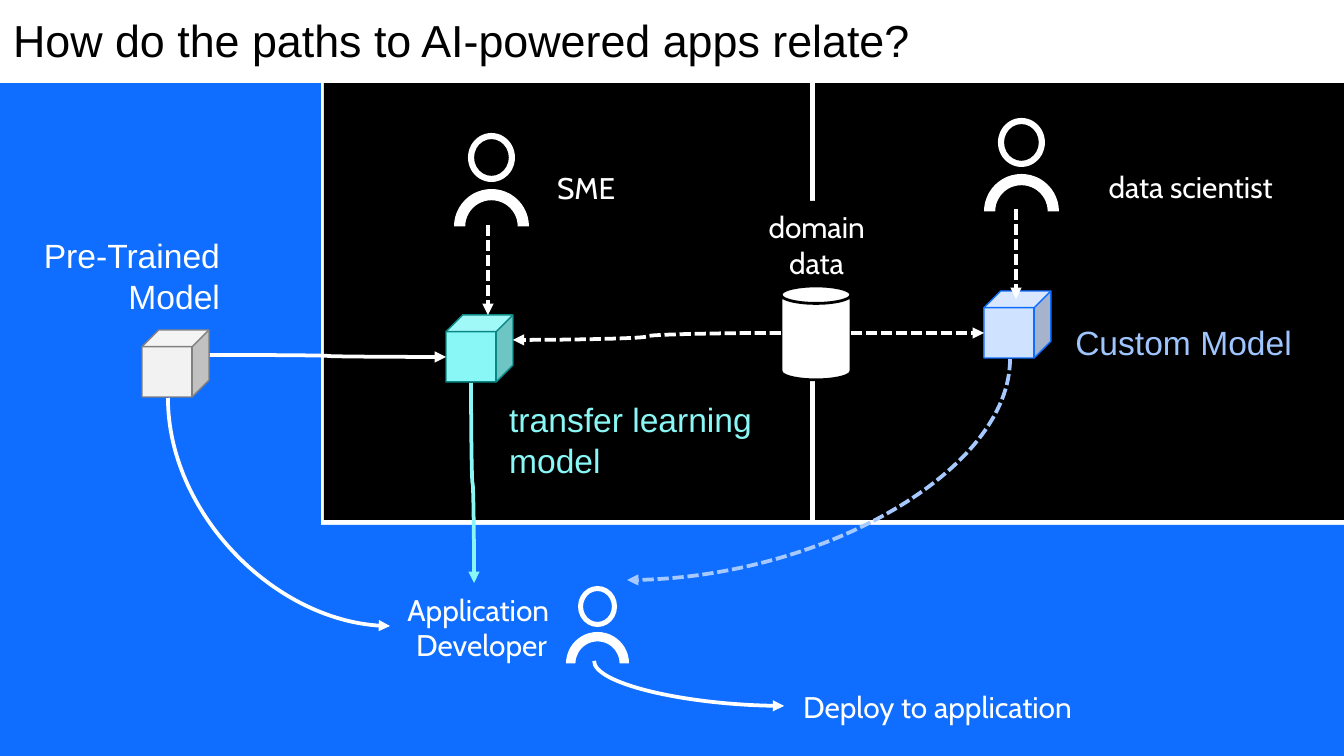
from lxml import etree
from pptx import Presentation
from pptx.dml.color import RGBColor
from pptx.enum.dml import MSO_LINE
from pptx.enum.shapes import MSO_CONNECTOR as LINE, MSO_SHAPE as SHAPE
from pptx.enum.text import MSO_ANCHOR, PP_ALIGN as ALIGN
from pptx.oxml.ns import qn
from pptx.util import Pt

PX = 914400 / 134.4
WHITE = RGBColor(0xFF, 0xFF, 0xFF)
BLACK = RGBColor(0x00, 0x00, 0x00)
BLUE = RGBColor(0x0F, 0x6D, 0xFF)
AQUA = RGBColor(0x89, 0xF7, 0xF5)
TEAL = RGBColor(0x0A, 0x88, 0x86)
PALE_GRAY = RGBColor(0xF2, 0xF2, 0xF2)
GRAY = RGBColor(0x80, 0x80, 0x80)
PALE_BLUE = RGBColor(0xCF, 0xE2, 0xFF)
SKY = RGBColor(0x9F, 0xC5, 0xFF)
LIGHT_SKY = RGBColor(0xA6, 0xC9, 0xFF)


def emu(*lengths):
    return [round(n * PX) for n in lengths]


def add_shape(shapes, kind, box, fill, line=None, width=0.75):
    s = shapes.add_shape(kind, *emu(*box))
    s.shadow.inherit = False
    s.fill.solid()
    s.fill.fore_color.rgb = fill
    if line is None:
        s.line.fill.background()
    else:
        s.line.color.rgb = line
        s.line.width = Pt(width)
    return s


prs = Presentation()
prs.slide_width, prs.slide_height = emu(1344, 756)
slide = prs.slides.add_slide(prs.slide_layouts[5])
shapes = slide.shapes

# Title
title = shapes.title
title.left, title.top, title.width, title.height = emu(0, -5, 1344, 95)
tf = title.text_frame
tf.text = "How do the paths to AI-powered apps relate?"
tf.vertical_anchor = MSO_ANCHOR.MIDDLE
tf.margin_left, tf.margin_right, tf.margin_top, tf.margin_bottom = emu(13, 13, 0, 0)
p = tf.paragraphs[0]
p.alignment = ALIGN.LEFT
p.line_spacing = 0.9
font = p.runs[0].font
font.name, font.size, font.color.rgb = "Arial", Pt(24), BLACK

# Background panels; the white slide shows through as dividers
for box, fill in [
    ((324, 83, 486, 437), BLACK),
    ((815, 83, 529, 437), BLACK),
    ((0, 83, 321, 448), BLUE),
    ((0, 525, 1344, 231), BLUE),
    ((746, 201, 128, 87), BLACK),
]:
    add_shape(shapes, SHAPE.RECTANGLE, box, fill)

# People: left, top, head width, head height, shoulder drop, shoulder size
for x, y, head_w, head_h, drop, body in [
    (454, 133, 47, 49, 56, 75),
    (984, 118, 47, 49, 56, 75),
    (566, 586, 39, 41, 46, 63),
]:
    person = shapes.add_group_shape()
    shoulders = add_shape(person.shapes, SHAPE.BLOCK_ARC, (x, y + drop, body, body), WHITE)
    for i, value in enumerate((108, 0, 0.15)):
        shoulders.adjustments[i] = value
    head = add_shape(person.shapes, SHAPE.DONUT,
                     (x + (body - head_w) / 2, y, head_w, head_h), WHITE)
    head.adjustments[0] = 0.13

# Domain data and models
add_shape(shapes, SHAPE.CAN, (781, 286, 70, 94), WHITE, BLACK, 1.5)
for x, y, fill, line in [
    (142, 330, PALE_GRAY, GRAY),
    (446, 315, AQUA, TEAL),
    (984, 291, PALE_BLUE, BLUE),
]:
    add_shape(shapes, SHAPE.CUBE, (x, y, 67, 67), fill, line)

# Labels
for text, box, align, name, size, color in [
    ("Pre-Trained\nModel", (28, 228, 192, 95), ALIGN.RIGHT, "Arial", 18, WHITE),
    ("transfer learning\nmodel", (496, 392, 374, 95), ALIGN.LEFT, "Arial", 18, AQUA),
    ("Custom Model", (1059, 315, 236, 54), ALIGN.CENTER, "Arial", 18, SKY),
    ("SME", (523, 160, 113, 56), ALIGN.CENTER, "Cabin", 16, WHITE),
    ("data scientist", (1089, 162, 190, 49), ALIGN.CENTER, "Cabin", 16, WHITE),
    ("domain\ndata", (746, 201, 128, 87), ALIGN.CENTER, "Cabin", 16, WHITE),
    ("Application \vDeveloper", (390, 584, 170, 86), ALIGN.CENTER, "Cabin", 16, WHITE),
    ("Deploy to application", (784, 682, 294, 49), ALIGN.CENTER, "Cabin", 16, WHITE),
]:
    tf = shapes.add_textbox(*emu(*box)).text_frame
    tf.text = text
    tf.word_wrap = False
    tf.vertical_anchor = MSO_ANCHOR.MIDDLE
    tf.margin_right = 0
    for p in tf.paragraphs:
        p.alignment = align
        for r in p.runs:
            r.font.name, r.font.size, r.font.color.rgb = name, Pt(size), color

# Arrows: ends, colour, dashed, preset, whether the curve sets off downwards
STRAIGHT, ARC, WAVE = "line", "curvedConnector2", "curvedConnector3"
for x1, y1, x2, y2, color, dashed, preset, down in [
    (168, 398, 390, 626, WHITE, False, ARC, True),
    (594, 661, 784, 706, WHITE, False, ARC, True),
    (1010, 359, 627, 580, LIGHT_SKY, True, ARC, True),
    (210, 355, 446, 357, WHITE, False, WAVE, False),
    (471, 383, 474, 583, AQUA, False, WAVE, True),
    (781, 333, 513, 340, WHITE, True, WAVE, False),
    (488, 225, 488, 315, WHITE, True, STRAIGHT, False),
    (851, 333, 984, 333, WHITE, True, STRAIGHT, False),
    (1016, 209, 1016, 299, WHITE, True, STRAIGHT, False),
]:
    kind = LINE.STRAIGHT if preset == STRAIGHT else LINE.CURVE
    ends = x1, y1, x2, y2
    if down:  # lay the box on its side, then turn it about its centre
        cx, cy = (x1 + x2) / 2, (y1 + y2) / 2
        half_w, half_h = (y2 - y1) / 2, abs(x2 - x1) / 2
        ends = cx - half_w, cy - half_h, cx + half_w, cy + half_h
    arrow = shapes.add_connector(kind, *emu(*ends))
    arrow.line.color.rgb = color
    arrow.line.width = Pt(2)
    if dashed:
        arrow.line.dash_style = MSO_LINE.SQUARE_DOT
    props = arrow._element.spPr
    props.find(qn("a:prstGeom")).set("prst", preset)
    if down:
        xfrm = props.find(qn("a:xfrm"))
        xfrm.set("rot", "16200000" if x2 > x1 else "5400000")
        if x2 > x1:
            xfrm.set("flipH", "1")
    etree.SubElement(props.find(qn("a:ln")), qn("a:tailEnd"), type="triangle")
    etree.SubElement(props, qn("a:effectLst"))

prs.save("out.pptx")
